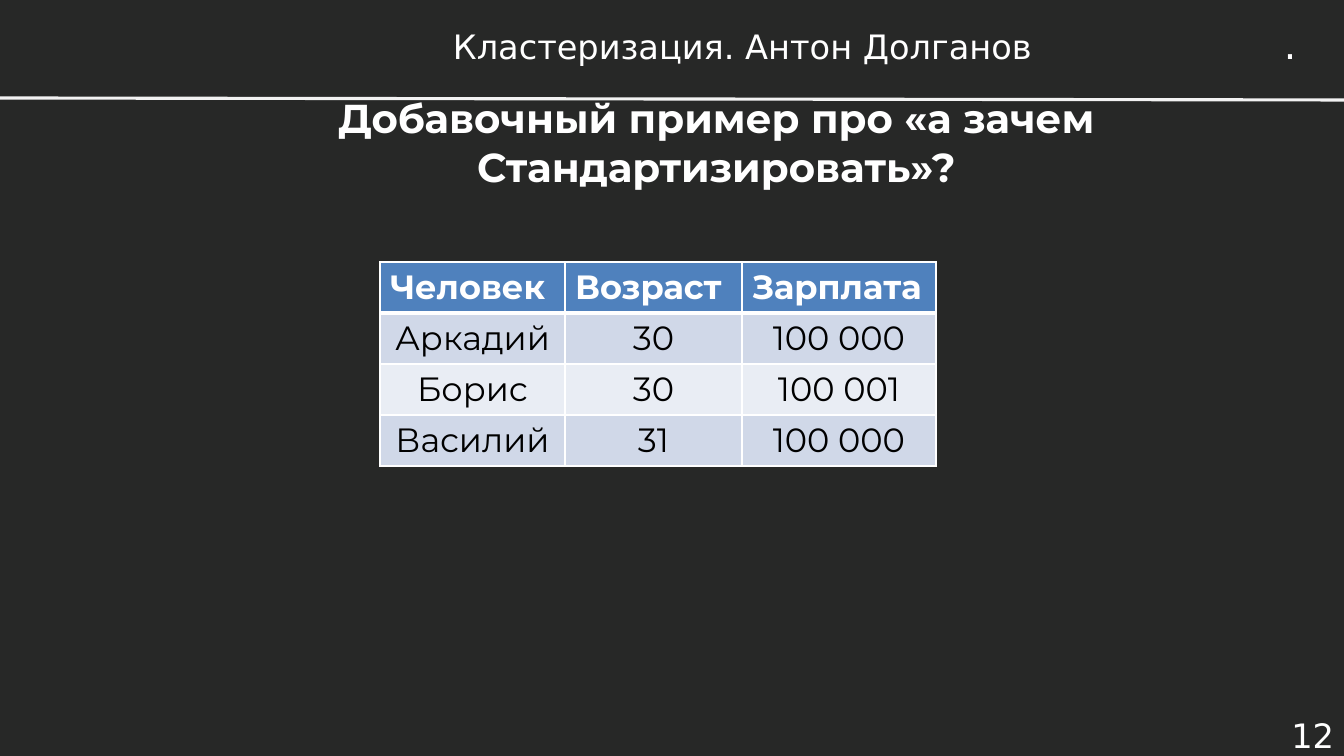
import dataclasses

import pptx
import pptx.dml.color
import pptx.enum.shapes
import pptx.enum.text
import pptx.oxml.ns
import pptx.util
from lxml import etree

EMU_PER_PX = 914400 / 100.8
ALIGN = pptx.enum.text.PP_ALIGN
ANCHOR = pptx.enum.text.MSO_ANCHOR
qn = pptx.oxml.ns.qn


@dataclasses.dataclass(frozen=True)
class Theme:
    background: str = "272827"
    white: str = "FFFFFF"
    rule: str = "F2F2F2"
    table_header: str = "4F81BD"
    table_bands: tuple = ("D0D8E8", "E9EDF4")
    table_text: str = "000000"
    header_font: str = "DejaVu Sans"
    body_font: str = "Montserrat"
    title_size: float = 28.8
    text_size: float = 24
    dot_size: float = 28
    rule_width: float = 2.25


THEME = Theme()

PEOPLE = [
    ("Человек", "Возраст", "Зарплата"),
    ("Аркадий", "30", "100 000"),
    ("Борис", "30", "100 001"),
    ("Василий", "31", "100 000"),
]
COLUMN_WIDTHS = (185, 177, 194)
ROW_HEIGHT = 51


def px(length):
    return pptx.util.Emu(round(length * EMU_PER_PX))


def rgb(color):
    return pptx.dml.color.RGBColor.from_string(color)


def write(text_frame, text, font, size, color, align, bold=False):
    text_frame.text = text
    paragraph = text_frame.paragraphs[0]
    paragraph.alignment = align
    paragraph.font.name = font
    paragraph.font.size = pptx.util.Pt(size)
    paragraph.font.bold = bold
    paragraph.font.color.rgb = rgb(color)


def add_label(slide, box, text, size, align, anchor=ANCHOR.MIDDLE, wrap=True):
    label = slide.shapes.add_textbox(*map(px, box))
    label.text_frame.word_wrap = wrap
    label.text_frame.vertical_anchor = anchor
    write(label.text_frame, text, THEME.header_font, size, THEME.white, align)


def add_rule(slide, start, end):
    rule = slide.shapes.add_connector(
        pptx.enum.shapes.MSO_CONNECTOR.STRAIGHT, *map(px, start + end))
    rule.line.color.rgb = rgb(THEME.rule)
    rule.line.width = pptx.util.Pt(THEME.rule_width)
    etree.SubElement(rule._element.spPr, qn("a:effectLst"))


def set_title(slide, box, text):
    title = slide.shapes.title
    title.left, title.top, title.width, title.height = map(px, box)
    frame = title.text_frame
    frame.word_wrap = True
    frame.auto_size = pptx.enum.text.MSO_AUTO_SIZE.NONE
    frame.vertical_anchor = ANCHOR.MIDDLE
    write(frame, text, THEME.body_font, THEME.title_size, THEME.white,
          ALIGN.CENTER, bold=True)


def set_borders(cell, widths):
    properties = cell._tc.get_or_add_tcPr()
    for side, width in widths.items():
        border = etree.SubElement(properties, qn(f"a:ln{side}"),
                                  w=str(pptx.util.Pt(width)))
        fill = etree.SubElement(border, qn("a:solidFill"))
        etree.SubElement(fill, qn("a:srgbClr"), val=THEME.white)


def add_table(slide, left, top, rows):
    frame = slide.shapes.add_table(
        len(rows), len(COLUMN_WIDTHS), px(left), px(top),
        px(sum(COLUMN_WIDTHS)), px(ROW_HEIGHT * len(rows)))
    table = frame.table
    for column, width in zip(table.columns, COLUMN_WIDTHS):
        column.width = px(width)
    for row_index, values in enumerate(rows):
        table.rows[row_index].height = px(ROW_HEIGHT)
        is_header = row_index == 0
        if is_header:
            fill, color, align = THEME.table_header, THEME.white, ALIGN.LEFT
        else:
            fill = THEME.table_bands[(row_index - 1) % 2]
            color, align = THEME.table_text, ALIGN.CENTER
        for column_index, value in enumerate(values):
            cell = table.cell(row_index, column_index)
            # The line under the header row is heavier
            set_borders(cell, {"L": 1, "R": 1,
                               "T": 3 if row_index == 1 else 1,
                               "B": 3 if is_header else 1})
            cell.fill.solid()
            cell.fill.fore_color.rgb = rgb(fill)
            write(cell.text_frame, value, THEME.body_font, THEME.text_size,
                  color, align, bold=is_header)


def main():
    presentation = pptx.Presentation()
    presentation.slide_width, presentation.slide_height = px(1344), px(756)
    slide = presentation.slides.add_slide(presentation.slide_layouts[5])
    slide.background.fill.solid()
    slide.background.fill.fore_color.rgb = rgb(THEME.background)

    # Slide number and running header
    add_label(slide, (1238, 714, 106, 42), "12", THEME.text_size, ALIGN.RIGHT)
    add_label(slide, (347, 19, 791, 54), "Кластеризация. Антон Долганов",
              THEME.text_size, ALIGN.CENTER)
    add_rule(slide, (0, 98), (1344, 100))
    add_label(slide, (1274, 15, 34, 57), ".", THEME.dot_size, ALIGN.LEFT,
              anchor=ANCHOR.TOP, wrap=False)

    # Title and example table
    set_title(slide, (88, 96, 1257, 92),
              "Добавочный пример про «а зачем Стандартизировать»?")
    add_table(slide, 380, 262, PEOPLE)

    presentation.save("out.pptx")


if __name__ == "__main__":
    main()
